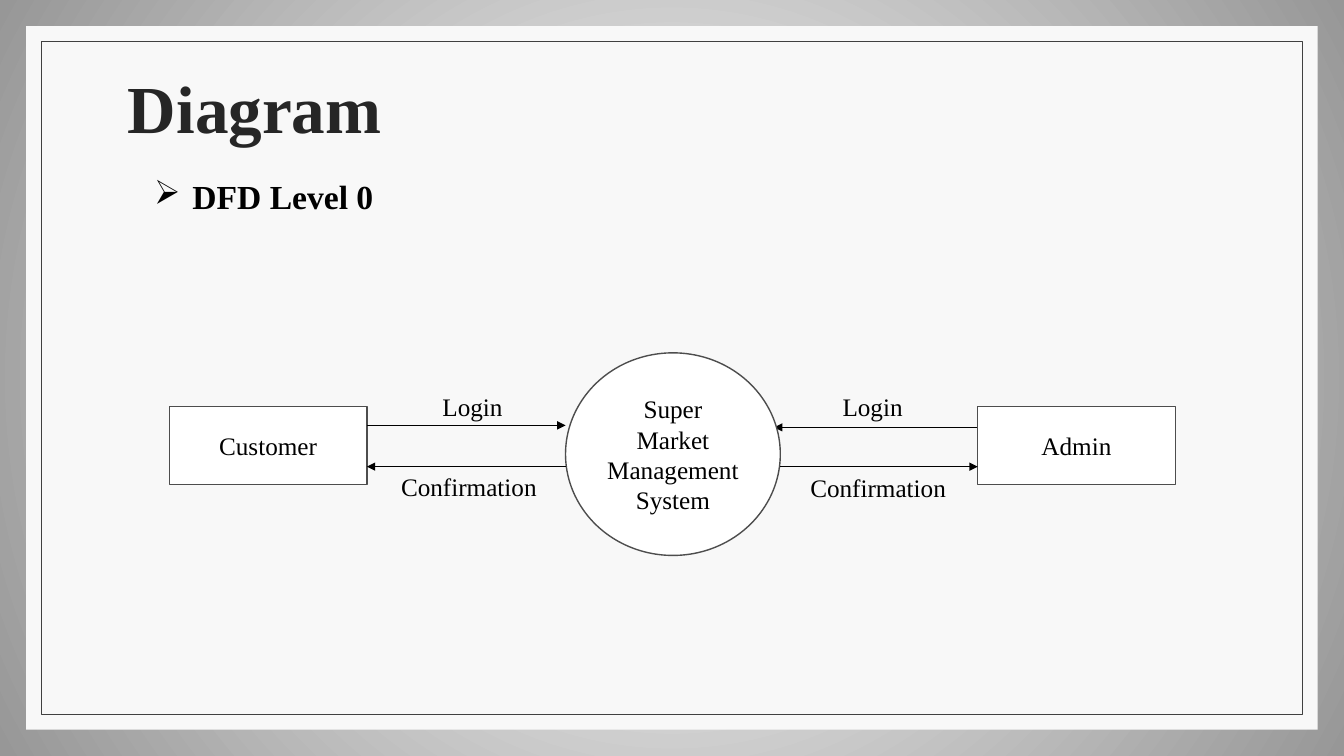
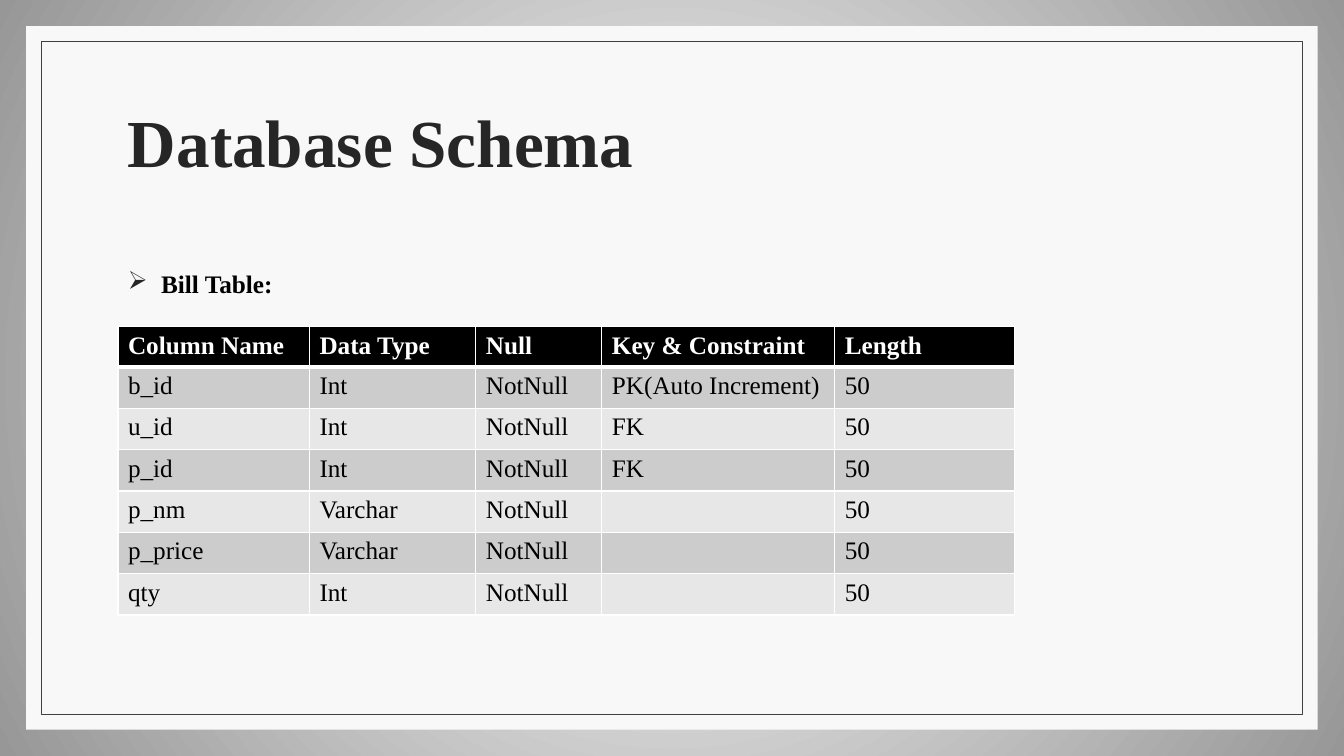
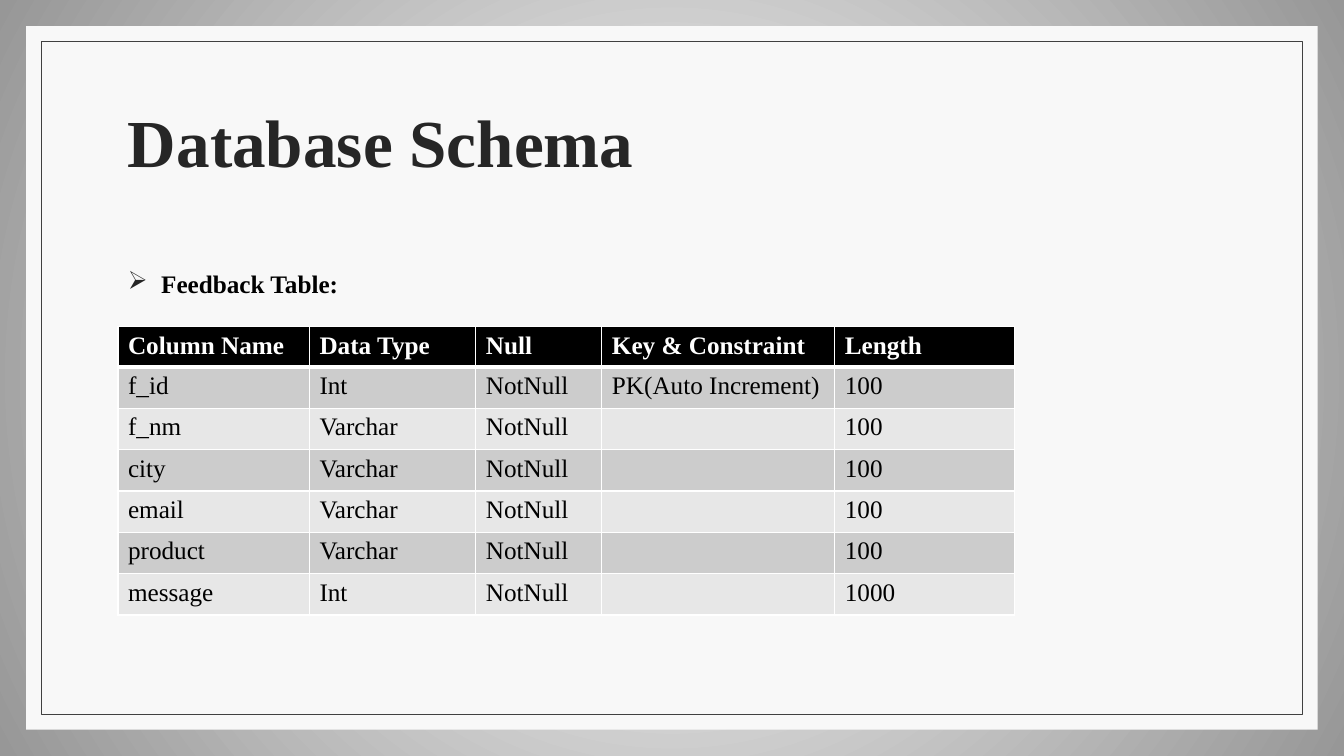
from lxml.etree import SubElement
from pptx import Presentation
from pptx.dml.color import RGBColor
from pptx.enum.shapes import MSO_CONNECTOR, MSO_SHAPE
from pptx.enum.text import MSO_ANCHOR, PP_ALIGN
from pptx.oxml.ns import qn
from pptx.util import Inches, Pt

WIDTH, HEIGHT = Inches(13.333), Inches(7.5)
FONT = "Times New Roman"
BLACK, WHITE = "000000", "FFFFFF"
TITLE_INK, FRAME_INK, OUTLINE = "262626", "404040", "4D4D4D"
PANEL, EDGE = "F8F8F8", "979797"
BANDS = ("CCCCCC", "E7E7E7")
LEFT, CONTENT_WIDTH = 8.78, 82.5
COLUMN_SHARES = (14.25, 12.38, 9.38, 17.33, 13.35)
HEADINGS = ("Column Name", "Data Type", "Null", "Key & Constraint", "Length")
HEADER_HEIGHT, ROW_HEIGHT = 4.93, 5.47

BILL = (
    ("b_id", "Int", "NotNull", "PK(Auto Increment)", "50"),
    ("u_id", "Int", "NotNull", "FK", "50"),
    ("p_id", "Int", "NotNull", "FK", "50"),
    ("p_nm", "Varchar", "NotNull", "", "50"),
    ("p_price", "Varchar", "NotNull", "", "50"),
    ("qty", "Int", "NotNull", "", "50"),
)
FEEDBACK = (
    ("f_id", "Int", "NotNull", "PK(Auto Increment)", "100"),
    ("f_nm", "Varchar", "NotNull", "", "100"),
    ("city", "Varchar", "NotNull", "", "100"),
    ("email", "Varchar", "NotNull", "", "100"),
    ("product", "Varchar", "NotNull", "", "100"),
    ("message", "Int", "NotNull", "", "1000"),
)


def rgb(value):
    return RGBColor.from_string(value)


def across(share):
    return round(WIDTH * share / 100)


def down(share):
    return round(HEIGHT * share / 100)


def area(x, y, w, h):
    return across(x), down(y), across(w), down(h)


def write(frame, text, size=18, color=BLACK, bold=False, align=None,
          anchor=MSO_ANCHOR.TOP, spacing=None, bullet=None, indent=0):
    frame.word_wrap = True
    frame.vertical_anchor = anchor
    paragraph = frame.paragraphs[0]
    paragraph.alignment = align
    paragraph.line_spacing = spacing
    paragraph.font.size = Pt(size)
    if text:
        run = paragraph.add_run()
        run.text = text
        run.font.name = FONT
        run.font.size = Pt(size)
        run.font.bold = bold
        run.font.color.rgb = rgb(color)
    if bullet:
        props = paragraph._p.get_or_add_pPr()
        props.set("marL", str(Inches(indent)))
        props.set("indent", str(-Inches(indent)))
        ink = SubElement(props, qn("a:buClr"))
        SubElement(ink, qn("a:srgbClr"), val=bullet)
        SubElement(props, qn("a:buChar"), char="➢")


def add_text(slide, text, place, **style):
    write(slide.shapes.add_textbox(*area(*place)).text_frame, text, **style)


def add_block(slide, kind, place, text="", fill=None, line=None, weight=1):
    block = slide.shapes.add_shape(kind, *area(*place))
    block.shadow.inherit = False
    if fill:
        block.fill.solid()
        block.fill.fore_color.rgb = rgb(fill)
    else:
        block.fill.background()
    if line:
        block.line.color.rgb = rgb(line)
        block.line.width = Pt(weight)
    else:
        block.line.fill.background()
    if text:
        write(block.text_frame, text, align=PP_ALIGN.CENTER,
              anchor=MSO_ANCHOR.MIDDLE)


def add_arrow(slide, start, end, y):
    arrow = slide.shapes.add_connector(
        MSO_CONNECTOR.STRAIGHT, across(start), down(y), across(end), down(y))
    arrow.line.color.rgb = rgb(BLACK)
    arrow.line.width = Pt(0.5)
    SubElement(arrow.line._get_or_add_ln(), qn("a:tailEnd"), type="triangle")
    SubElement(arrow._element.spPr, qn("a:effectLst"))


def paint_background(slide):
    fill = slide.background.fill
    fill.gradient()
    for stop, color in zip(fill.gradient_stops, (WHITE, EDGE)):
        stop.color.rgb = rgb(color)
    gradient = slide.element.find(".//" + qn("a:gradFill"))
    gradient.remove(gradient.find(qn("a:lin")))
    circle = SubElement(gradient, qn("a:path"))
    circle.set("path", "circle")
    SubElement(circle, qn("a:fillToRect"),
               {side: "50000" for side in "ltrb"})


def add_page(deck, title, top, height):
    slide = deck.slides.add_slide(deck.slide_layouts[6])
    paint_background(slide)
    for x, y, look in ((1.95, 3.47, {"fill": PANEL}),
                       (3.07, 5.47, {"line": FRAME_INK, "weight": 0.5})):
        add_block(slide, MSO_SHAPE.RECTANGLE,
                  (x, y, 100 - 2 * x, 100 - 2 * y), **look)
    add_text(slide, title, (LEFT, top, CONTENT_WIDTH, height), size=48,
             color=TITLE_INK, bold=True, anchor=MSO_ANCHOR.MIDDLE, spacing=0.9)
    return slide


def add_borders(cell, bottom):
    props = cell._tc.get_or_add_tcPr()
    sides = (("L", 1), ("R", 1), ("T", 1), ("B", bottom))
    for position, (side, weight) in enumerate(sides):
        border = SubElement(props, qn("a:ln" + side), w=str(Pt(weight)))
        SubElement(SubElement(border, qn("a:solidFill")),
                   qn("a:srgbClr"), val=WHITE)
        props.insert(position, border)


def add_schema(slide, records):
    rows = (HEADINGS,) + records
    height = HEADER_HEIGHT + ROW_HEIGHT * len(records)
    schema = slide.shapes.add_table(
        len(rows), len(HEADINGS),
        *area(LEFT, 43.2, sum(COLUMN_SHARES), height)).table
    for column, share in zip(schema.columns, COLUMN_SHARES):
        column.width = across(share)
    for r, values in enumerate(rows):
        header = r == 0
        schema.rows[r].height = down(HEADER_HEIGHT if header else ROW_HEIGHT)
        for c, value in enumerate(values):
            cell = schema.cell(r, c)
            cell.fill.solid()
            cell.fill.fore_color.rgb = rgb(
                BLACK if header else BANDS[(r - 1) % 2])
            add_borders(cell, 3 if header else 1)
            write(cell.text_frame, value, bold=header,
                  color=WHITE if header else BLACK)


def add_diagram_page(deck):
    slide = add_page(deck, "Diagram", 7.33, 14.93)
    add_text(slide, "DFD Level 0", (10.73, 22.67, 33, 6.67), size=24,
             bold=True, bullet=BLACK, indent=0.38)
    customer, admin, entity_width = 12.6, 72.75, 14.7
    system, system_width = 42.08, 15.98
    customer_edge = customer + entity_width
    system_edge = system + system_width
    add_arrow(slide, admin, 57.6, 56.53)
    add_block(slide, MSO_SHAPE.OVAL, (system, 46.67, system_width, 26.8),
              "Super Market Management System", WHITE, OUTLINE)
    for entity, x in (("Customer", customer), ("Admin", admin)):
        add_block(slide, MSO_SHAPE.RECTANGLE, (x, 53.73, entity_width, 10.4),
                  entity, WHITE, OUTLINE)
    for start, end, y in ((customer_edge, system, 56.27),
                          (system, customer_edge, 61.73),
                          (system_edge, admin, 61.73)):
        add_arrow(slide, start, end, y)
    for flow, x, y in (("Login", 32.18, 51.07), ("Confirmation", 29.1, 61.73),
                       ("Login", 61.95, 51.07), ("Confirmation", 59.55, 61.87)):
        add_text(slide, flow, (x, y, 11.85, 5.33))


def add_schema_page(deck, caption, records):
    slide = add_page(deck, "Database Schema", 9.33, 20)
    add_text(slide, caption, (LEFT, 34.8, CONTENT_WIDTH, 5.2), bold=True,
             bullet=TITLE_INK, indent=0.33)
    add_schema(slide, records)


def main():
    deck = Presentation()
    deck.slide_width, deck.slide_height = WIDTH, HEIGHT
    add_diagram_page(deck)
    add_schema_page(deck, "Bill Table:", BILL)
    add_schema_page(deck, "Feedback Table:", FEEDBACK)
    deck.save("out.pptx")


if __name__ == "__main__":
    main()
